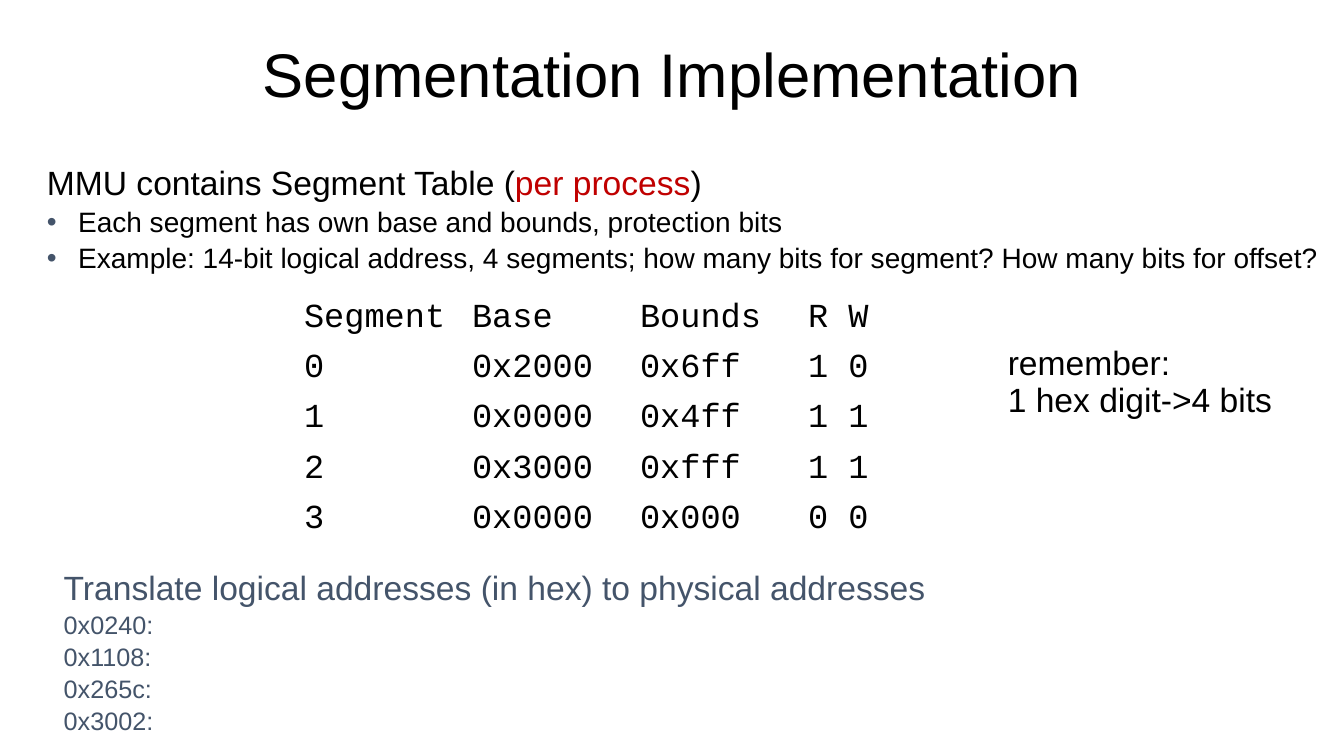
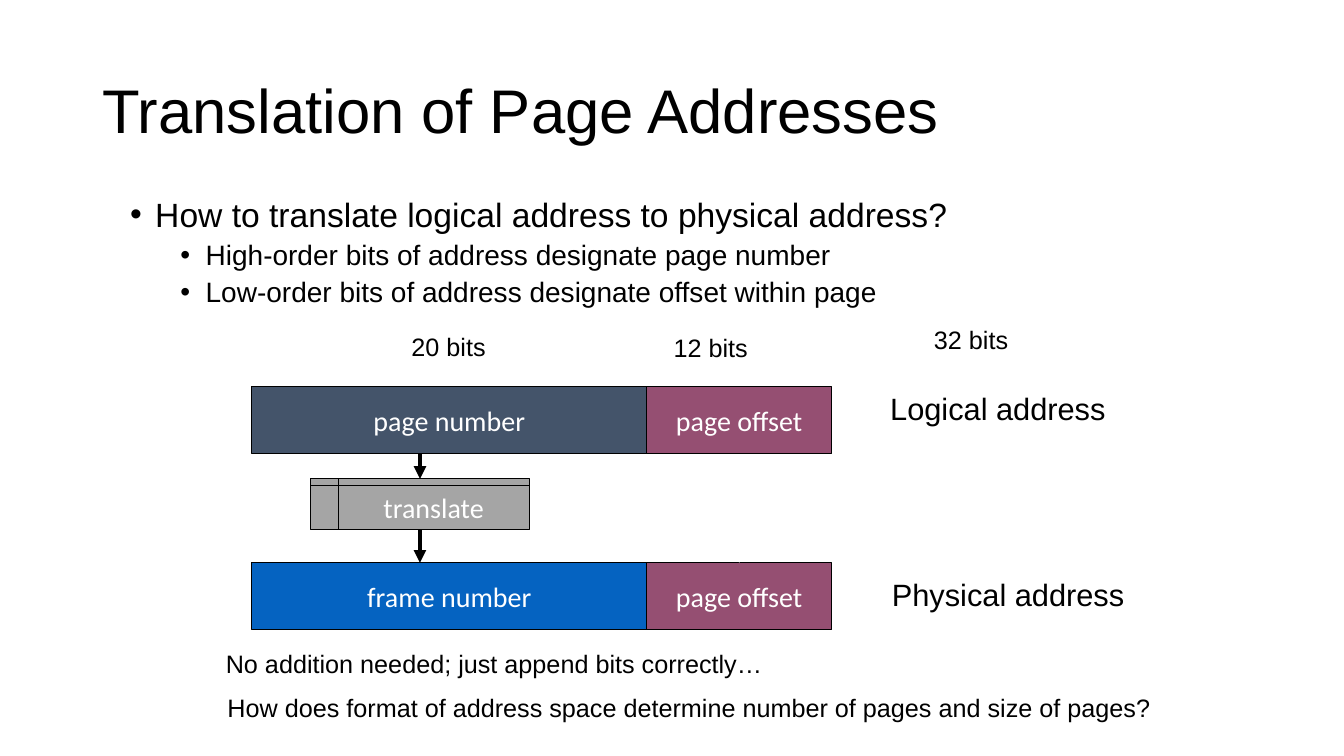
"""Build two slides on segment tables and the translation of page addresses."""
import lxml.etree
import pptx
import pptx.dml.color
import pptx.enum.shapes
import pptx.enum.text
import pptx.oxml.ns
import pptx.util

Pt = pptx.util.Pt
qn = pptx.oxml.ns.qn
SHAPE = pptx.enum.shapes.MSO_SHAPE
STRAIGHT = pptx.enum.shapes.MSO_CONNECTOR.STRAIGHT
CENTER = pptx.enum.text.PP_ALIGN.CENTER
MIDDLE = pptx.enum.text.MSO_ANCHOR.MIDDLE
BLACK, WHITE, SLATE, RED = "000000", "FFFFFF", "44546A", "C00000"
BLUE, PLUM, GRAY = "0563C1", "954F72", "A5A5A5"


def rgb(code):
    """Turn a hex string into a colour."""
    return pptx.dml.color.RGBColor.from_string(code)


def write(frame, lines, color=BLACK, font="Arial", **frame_format):
    """Fill a text frame with lines of (runs, size, paragraph format)."""
    for key, value in frame_format.items():
        setattr(frame, key, value)
    for number, (runs, size, line_format) in enumerate(lines):
        paragraph = frame.add_paragraph() if number else frame.paragraphs[0]
        line_format = dict(line_format)
        margin, bullet_color = line_format.pop("bullet", (0, None))
        if bullet_color:
            props = paragraph._p.get_or_add_pPr()
            props.set("marL", str(pptx.util.Inches(margin)))
            props.set("indent", str(-pptx.util.Inches(line_format.pop("hang"))))
            tint = lxml.etree.SubElement(props, qn("a:buClr"))
            lxml.etree.SubElement(tint, qn("a:srgbClr"), val=bullet_color)
            lxml.etree.SubElement(props, qn("a:buFont"), typeface="Arial")
            lxml.etree.SubElement(props, qn("a:buChar"), char="•")
        for key, value in line_format.items():
            setattr(paragraph, key, value)
        for text, run_color in [(runs, color)] if isinstance(runs, str) else runs:
            if text == "\n":
                paragraph.add_line_break()
                continue
            run = paragraph.add_run()
            run.text = text
            for key, value in {"size": Pt(size), "name": font}.items():
                setattr(run.font, key, value)
            run.font.color.rgb = rgb(run_color)


deck = pptx.Presentation()
deck.slide_width, deck.slide_height = pptx.util.Inches(40 / 3), pptx.util.Inches(7.5)
col, row = deck.slide_width / 160, deck.slide_height / 90
TIGHT = {"line_spacing": 0.9}

segmentation, paging = [deck.slides.add_slide(deck.slide_layouts[6]) for _ in range(2)]

titles = [
    (segmentation, "Segmentation Implementation", (13.7, 0.8, 132.7, 16.8), {"alignment": CENTER}),
    (paging, "Translation of Page Addresses", (11, 4.8, 138, 17.4), {}),
]
for slide, title, (x, y, w, h), align in titles:
    box = slide.shapes.add_textbox(int(x * col), int(y * row), int(w * col), int(h * row))
    write(box.text_frame, [(title, 44, TIGHT | align)], word_wrap=True, vertical_anchor=MIDDLE)

segment_table = [
    ("Segment", "Base", "Bounds", "R W"),
    ("0", "0x2000", "0x6ff", "1 0"),
    ("1", "0x0000", "0x4ff", "1 1"),
    ("2", "0x3000", "0xfff", "1 1"),
    ("3", "0x0000", "0x000", "0 0"),
]
grid = segmentation.shapes.add_table(
    5, 4, int(35 * col), int(35 * row), int(80 * col), int(28.8 * row)).table
for flag in ("first_row", "horz_banding"):
    setattr(grid, flag, False)
for r, values in enumerate(segment_table):
    for c, value in enumerate(values):
        cell = grid.cell(r, c)
        cell.fill.background()
        write(cell.text_frame, [(value, 24, {})], font="Courier New")

point = TIGHT | {"space_before": Pt(4), "bullet": (0.31, SLATE), "hang": 0.31}
subpoint = TIGHT | {"space_before": Pt(5), "bullet": (0.75, BLACK), "hang": 0.25, "level": 1}
address = TIGHT | {"space_before": Pt(3.6)}
passages = [
    (segmentation, (4.4, 19.2, 154, 20), BLACK, [
        ([("MMU contains Segment Table (", BLACK), ("per process", RED), (")", BLACK)], 24, TIGHT),
        ("Each segment has own base and bounds, protection bits", 20, point),
        ("Example: 14-bit logical address, 4 segments; how many bits for segment? "
         "How many bits for offset?", 20, point)]),
    (segmentation, (118.8, 40.7, 37.2, 10), BLACK, [
        ([("remember:", BLACK), ("\n", BLACK), ("1 hex digit->4 bits", BLACK)], 24, TIGHT)]),
    (segmentation, (6.4, 67.4, 151.8, 13), SLATE, [
        ("Translate logical addresses (in hex) to physical addresses", 24, TIGHT),
        *[(code, 18, address) for code in ("0x0240:", "0x1108:", "0x265c:", "0x3002:")]]),
    (paging, (14.3, 23, 111, 18), BLACK, [
        ("How to translate logical address to physical address?", 24,
         TIGHT | {"bullet": (0.25, BLACK), "hang": 0.25}),
        ("High-order bits of address designate page number", 20, subpoint),
        ("Low-order bits of address designate offset within page", 20, subpoint)]),
]
for slide, (x, y, w, h), color, lines in passages:
    box = slide.shapes.add_textbox(int(x * col), int(y * row), int(w * col), int(h * row))
    write(box.text_frame, lines, color, word_wrap=True)

fields = [
    ("page number", 30, 46, 47, 8, SLATE, SHAPE.RECTANGLE),
    ("frame number", 30, 67, 47, 8, BLUE, SHAPE.RECTANGLE),
    ("page offset", 77, 46, 22, 8, PLUM, SHAPE.RECTANGLE),
    ("page offset", 77, 67, 22, 8, PLUM, SHAPE.RECTANGLE),
    ("translate", 37, 57, 26, 6, GRAY, SHAPE.FLOWCHART_INTERNAL_STORAGE),
]
for label, x, y, w, h, fill, outline in fields:
    field = paging.shapes.add_shape(
        outline, int(x * col), int(y * row), int(w * col), int(h * row))
    field.shadow.inherit = False
    field.fill.solid()
    field.fill.fore_color.rgb = rgb(fill)
    field.line.color.rgb = rgb(BLACK)
    field.line.width = Pt(0.75)
    write(field.text_frame, [(label, 20, {"alignment": CENTER})], WHITE, "Calibri",
          word_wrap=False, vertical_anchor=MIDDLE)
    if label == "page offset":
        physical_offset = field
translate = field

arrows = [
    (50, 54, 57, BLACK, None, translate),
    (50, 63, 67, BLACK, translate, None),
    (88, 55, 67, WHITE, None, physical_offset),
]
for x, top, bottom, color, source, target in arrows:
    arrow = paging.shapes.add_connector(
        STRAIGHT, int(x * col), int(top * row), int(x * col), int(bottom * row))
    if source:
        arrow.begin_connect(source, 2)
    if target:
        arrow.end_connect(target, 0)
    arrow.line.color.rgb = rgb(color)
    arrow.line.width = Pt(3)
    lxml.etree.SubElement(arrow.line._get_or_add_ln(), qn("a:tailEnd"), type="triangle")
    lxml.etree.SubElement(arrow._element.spPr, qn("a:effectLst"))

labels = [
    ("Logical address", 104.8, 45.8, 28.4, 22),
    ("Physical address", 105, 68, 30.5, 22),
    ("32 bits", 110, 38, 11.4, 18),
    ("20 bits", 47.8, 38.8, 11.4, 18),
    ("12 bits", 79, 39, 11.4, 18),
    ("No addition needed; just append bits correctly…", 25.7, 76.6, 66.8, 18),
    ("How does format of address space determine number of pages and size of pages?",
     25.9, 81.8, 113.3, 18),
]
for label, x, y, w, size in labels:
    box = paging.shapes.add_textbox(
        int(x * col), int(y * row), int(w * col), int(size / 3.75 * row))
    write(box.text_frame, [(label, size, {})], word_wrap=False)

deck.save("out.pptx")
